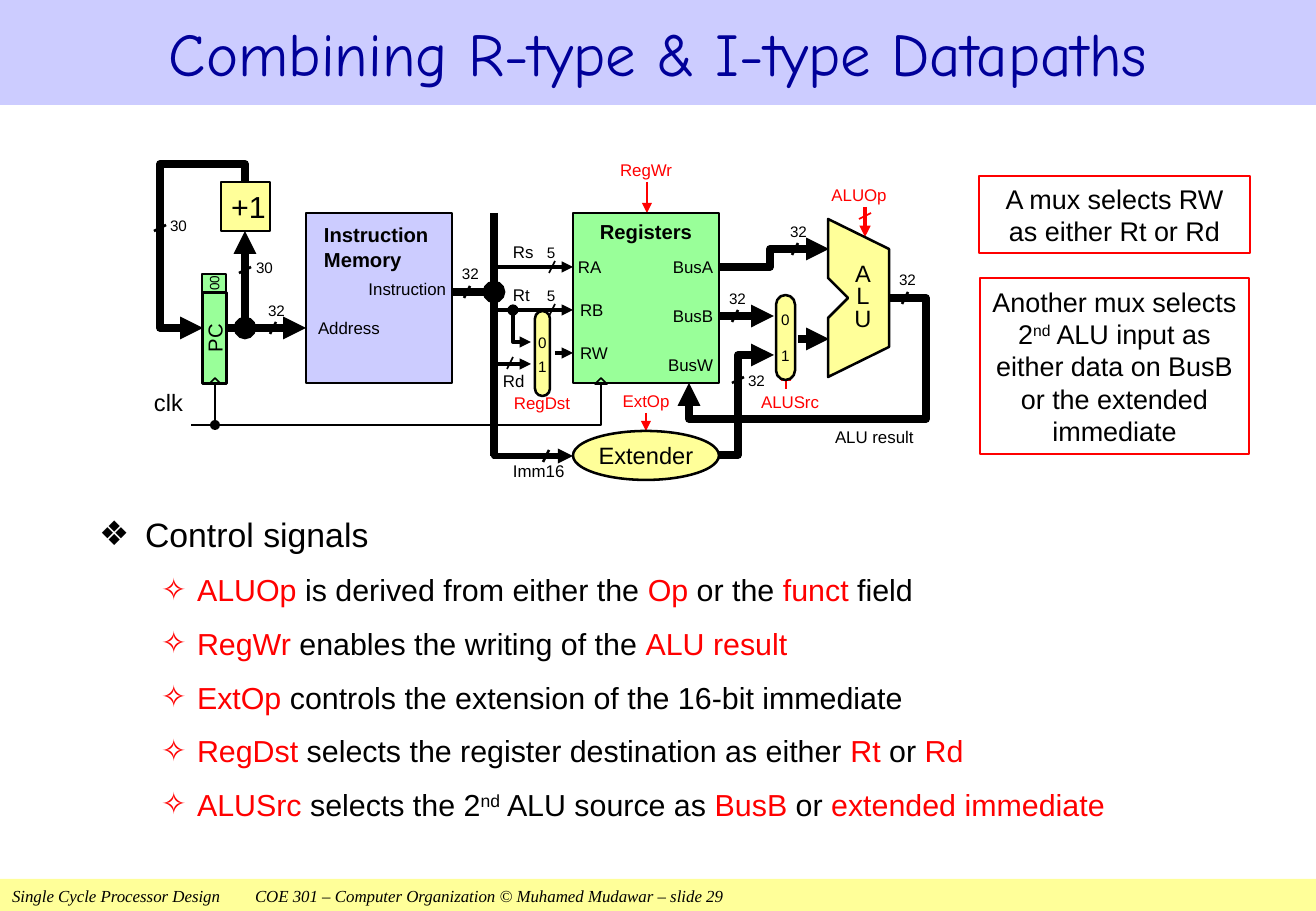
import pptx
import pptx.util
import pptx.dml.color
import pptx.enum.shapes
import pptx.enum.text
import pptx.oxml
import pptx.oxml.ns

SCALE = 914400 / 121.5
BLACK, RED, YELLOW, GREEN, LILAC = "000000", "FF0000", "FFFF99", "99FF99", "CCCCFF"
KIND = pptx.enum.shapes.MSO_SHAPE
ALIGN = {"l": pptx.enum.text.PP_ALIGN.LEFT, "c": pptx.enum.text.PP_ALIGN.CENTER,
         "r": pptx.enum.text.PP_ALIGN.RIGHT}
ANCHOR = {"t": pptx.enum.text.MSO_ANCHOR.TOP, "m": pptx.enum.text.MSO_ANCHOR.MIDDLE}


def px(*nums):
    return [pptx.util.Emu(round(num * SCALE)) for num in nums]


def tint(code):
    return pptx.dml.color.RGBColor.from_string(code)


def add_node(parent, name, **keys):
    node = pptx.oxml.ns.qn("a:" + name)
    child = parent.makeelement(node, keys)
    parent.append(child)
    return child


def say(shape, text, size=10, color=BLACK, font="Arial", align="l", anchor="m",
        bold=False, slant=False, pad=(0, 0, 0, 0), lines=None, gap=0, wrap=True):
    frame = shape.text_frame
    frame.word_wrap = wrap
    frame.auto_size = pptx.enum.text.MSO_AUTO_SIZE.NONE
    frame.vertical_anchor = ANCHOR[anchor]
    (frame.margin_left, frame.margin_top,
     frame.margin_right, frame.margin_bottom) = px(*pad)
    for row, line in enumerate(text.split("\n")):
        para = frame.add_paragraph() if row else frame.paragraphs[0]
        para.alignment = ALIGN[align]
        para.space_before = pptx.util.Pt(gap)
        para.line_spacing = lines
        for turn, part in enumerate(line.split("*")):
            for rise, piece in enumerate(part.split("^")):
                if not piece:
                    continue
                run = para.add_run()
                run.text = piece
                run.font.name, run.font.size = font, pptx.util.Pt(size)
                run.font.bold, run.font.italic = bold, slant
                run.font.color.rgb = tint(RED if turn % 2 else color)
                if rise % 2:
                    run._r.get_or_add_rPr().set("baseline", "30000")


def paint(shape, fill=None, line=BLACK, width=1.5):
    shape.shadow.inherit = False
    if fill:
        shape.fill.solid()
        shape.fill.fore_color.rgb = tint(fill)
    else:
        shape.fill.background()
    if line:
        shape.line.color.rgb = tint(line)
        shape.line.width = pptx.util.Pt(width)
    else:
        shape.line.fill.background()


def block(slide, spot, fill=None, line=BLACK, width=1.5, kind=KIND.RECTANGLE,
          turn=0, text="", **style):
    shape = slide.shapes.add_shape(kind, *px(*spot))
    shape.rotation = turn
    paint(shape, fill, line, width)
    if text:
        say(shape, text, **style)
    return shape


def tag(slide, x, mid, text, wide=100, high=24, **style):
    start = x - {"l": 0, "c": wide / 2, "r": wide}[style.get("align", "l")]
    say(slide.shapes.add_textbox(*px(start, mid - high / 2, wide, high)), text, **style)


def outline(slide, points, close):
    start, *rest = [px(*point) for point in points]
    form = slide.shapes.build_freeform(*start, scale=1.0)
    form.add_line_segments(rest, close=close)
    return form.convert_to_shape()


def wire(slide, points, width=4.5, color=BLACK, head=None, tail="triangle"):
    if len(points) == 2:
        link = slide.shapes.add_connector(
            pptx.enum.shapes.MSO_CONNECTOR.STRAIGHT, *px(*points[0], *points[1]))
        link.line.color.rgb = tint(color)
        link.line.width = pptx.util.Pt(width)
        add_node(link._element.spPr, "effectLst")
    else:
        link = outline(slide, points, False)
        paint(link, None, color, width)
    for name, kind in (("headEnd", head), ("tailEnd", tail)):
        if kind:
            add_node(link.line._get_or_add_ln(), name, type=kind)


def tick(slide, x, y, width=1.5, color=BLACK, flat=False):
    dx, dy = (6, 3) if flat else (3, 6)
    wire(slide, [(x + dx, y - dy), (x - dx, y + dy)], width, color, tail=None)


def mux(slide, spot, x, *mids):
    block(slide, spot, YELLOW, kind=KIND.ROUNDED_RECTANGLE).adjustments[0] = 0.5
    for bit, mid in enumerate(mids):
        tag(slide, x, mid, str(bit), size=9)


def draw_wires(slide):
    for x, top, end, width in ((865, 207, 237, 2.25), (647, 182, 213, 1),
                               (646, 413, 431, 1), (542, 397, 378, 1), (786, 389, 371, 1)):
        wire(slide, [(x, top), (x, end)], width, RED)
    for points in (
            [(883, 298), (926, 298), (926, 419), (689, 419), (689, 383)],
            [(719, 455), (738, 455), (738, 355), (774, 355)],
            [(719, 267), (770, 267), (770, 249), (829, 249)],
            [(245, 182), (245, 164), (160, 164), (160, 328), (203, 328)],
            [(719, 316), (774, 316)], [(227, 328), (306, 328)], [(798, 339), (829, 339)]):
        wire(slide, points)
    wire(slide, [(245, 328), (245, 231)], head="oval")
    wire(slide, [(452, 292), (494, 292)], tail="oval")
    wire(slide, [(494, 213), (494, 456)], tail=None)
    wire(slide, [(494, 437), (494, 456), (573, 456)], 3)
    for x, y, end in ((494, 267, 573), (494, 310, 573), (555, 353, 573), (494, 364, 531)):
        wire(slide, [(x, y), (end, y)], 2.25)
    wire(slide, [(513, 310), (513, 342), (531, 342)], 2.25, head="oval")
    wire(slide, [(601, 384), (601, 425), (191, 425)], 1, tail=None)
    wire(slide, [(215, 384), (215, 425)], 1, tail="oval")


def draw_blocks(slide):
    block(slide, (573, 213, 146, 170), GREEN, text="Registers", size=12, bold=True,
          align="c", anchor="t", pad=(1, 6, 1, 6))
    block(slide, (306, 213, 146, 170), LILAC)
    block(slide, (169, 326, 91, 24), GREEN, turn=270, text="PC", size=12, align="c")
    block(slide, (205, 271, 18, 24), GREEN, turn=270, text="00", size=8, align="c",
          wrap=False)
    block(slide, (221, 182, 49, 49), YELLOW, text="+1", size=18, align="c", pad=(6, 0, 0, 0))
    block(slide, (573, 431, 146, 49), YELLOW, kind=KIND.OVAL, text="Extender", size=14,
          align="c", wrap=False)
    alu = outline(slide, [(828, 377), (889, 347), (889, 249), (828, 219),
                          (828, 278), (848, 298), (828, 318)], True)
    paint(alu, YELLOW)
    tag(slide, 863, 298, "A\nL\nU", high=98, size=14, align="c", lines=0.8)
    mux(slide, (776, 295, 19, 85), 781, 319, 355)
    mux(slide, (535, 311, 15, 85), 538, 342, 366)
    for x in (209, 595):
        block(slide, (x, 378, 12, 6), width=1, kind=KIND.ISOSCELES_TRIANGLE)


def draw_tags(slide):
    for x, y in ((795, 249), (905, 298), (735, 316), (467, 292), (273, 328), (546, 456)):
        tick(slide, x, y)
    for x, y in ((552, 267), (552, 310), (510, 363)):
        tick(slide, x, y, 1)
    for x, y in ((160, 228), (245, 270), (738, 380)):
        tick(slide, x, y, flat=True)
    tick(slide, 865, 216, 1, RED, True)
    for text, spots in (
            ("32", ((899, 279), (790, 231), (729, 298), (462, 273), (268, 310), (748, 380))),
            ("30", ((170, 225), (256, 267))), ("5", ((547, 252), (547, 295)))):
        for x, mid in spots:
            tag(slide, x, mid, text, size=9)
    for x, mid, text in ((513, 252, "Rs"), (513, 295, "Rt"), (503, 381, "Rd"),
                         (513, 471, "Imm16"), (578, 267, "RA"), (580, 310, "RB"),
                         (580, 353, "RW"), (318, 328, "Address"), (835, 437, "ALU result")):
        tag(slide, x, mid, text)
    for x, mid, text in ((713, 267, "BusA"), (713, 316, "BusB"), (713, 365, "BusW"),
                         (446, 289, "Instruction")):
        tag(slide, x, mid, text, align="r")
    for x, mid, text in ((859, 195, "ALUOp"), (646, 170, "RegWr"), (646, 401, "ExtOp"),
                         (542, 403, "RegDst"), (790, 402, "ALUSrc")):
        tag(slide, x, mid, text, align="c", color=RED)
    tag(slide, 324, 247, "Instruction\nMemory", wide=115, high=66, size=12, bold=True)
    tag(slide, 154, 402, "clk", size=14)


def place(shape, *spot):
    shape.left, shape.top, shape.width, shape.height = px(*spot)


def fill_list(body):
    place(body, 87, 504, 1133, 340)
    say(body, "Control signals\n"
        "*ALUOp* is derived from either the *Op* or the *funct* field\n"
        "*RegWr* enables the writing of the *ALU result*\n"
        "*ExtOp* controls the extension of the 16-bit immediate\n"
        "*RegDst* selects the register destination as either *Rt* or *Rd*\n"
        "*ALUSrc* selects the 2^nd^ ALU source as *BusB* or *extended immediate*",
        size=18, anchor="t", pad=(12, 6, 12, 6), lines=1.1, gap=8)
    for row, para in enumerate(body.text_frame.paragraphs):
        para.level = 1 if row else 0
        left, hang, mark = (98, 36, "✧") if row else (46, 46, "❖")
        props = para._p.get_or_add_pPr()
        props.set("marL", str(px(left)[0]))
        props.set("indent", str(-px(hang)[0]))
        add_node(props, "buChar", char=mark)
    body.text_frame.paragraphs[0].runs[0].font.size = pptx.util.Pt(20)


def add_foot(slide):
    foot = block(slide, (0, 879, 1316, 33), YELLOW, None,
                 text="Single Cycle Processor Design\tCOE 301 – Computer Organization "
                 "© Muhamed Mudawar – slide 29",
                 size=10, font="Times New Roman", slant=True, pad=(12, 6, 12, 6))
    stops = add_node(foot.text_frame.paragraphs[0]._p.get_or_add_pPr(), "tabLst")
    add_node(stops, "tab", pos=str(px(243)[0]), algn="l")


def main():
    deck = pptx.Presentation()
    deck.slide_width, deck.slide_height = px(1316, 911)
    slide = deck.slides.add_slide(deck.slide_layouts[1])
    title, body = slide.placeholders
    place(title, 0, 0, 1316, 105)
    title.fill.solid()
    title.fill.fore_color.rgb = tint(LILAC)
    say(title, "Combining R-type & I-type Datapaths", size=36, font="Comic Neue",
        color="000099", align="c")
    fill_list(body)
    add_foot(slide)
    for spot, text in (
            ((979, 176, 271, 77), "A mux selects RW as either Rt or Rd"),
            ((980, 278, 269, 176), "Another mux selects 2^nd^ ALU input as either "
             "data on BusB or the extended immediate")):
        block(slide, spot, line=RED, text=text, size=16, align="c", pad=(12, 6, 12, 6))
    draw_wires(slide)
    draw_blocks(slide)
    draw_tags(slide)
    deck.save("out.pptx")


main()
